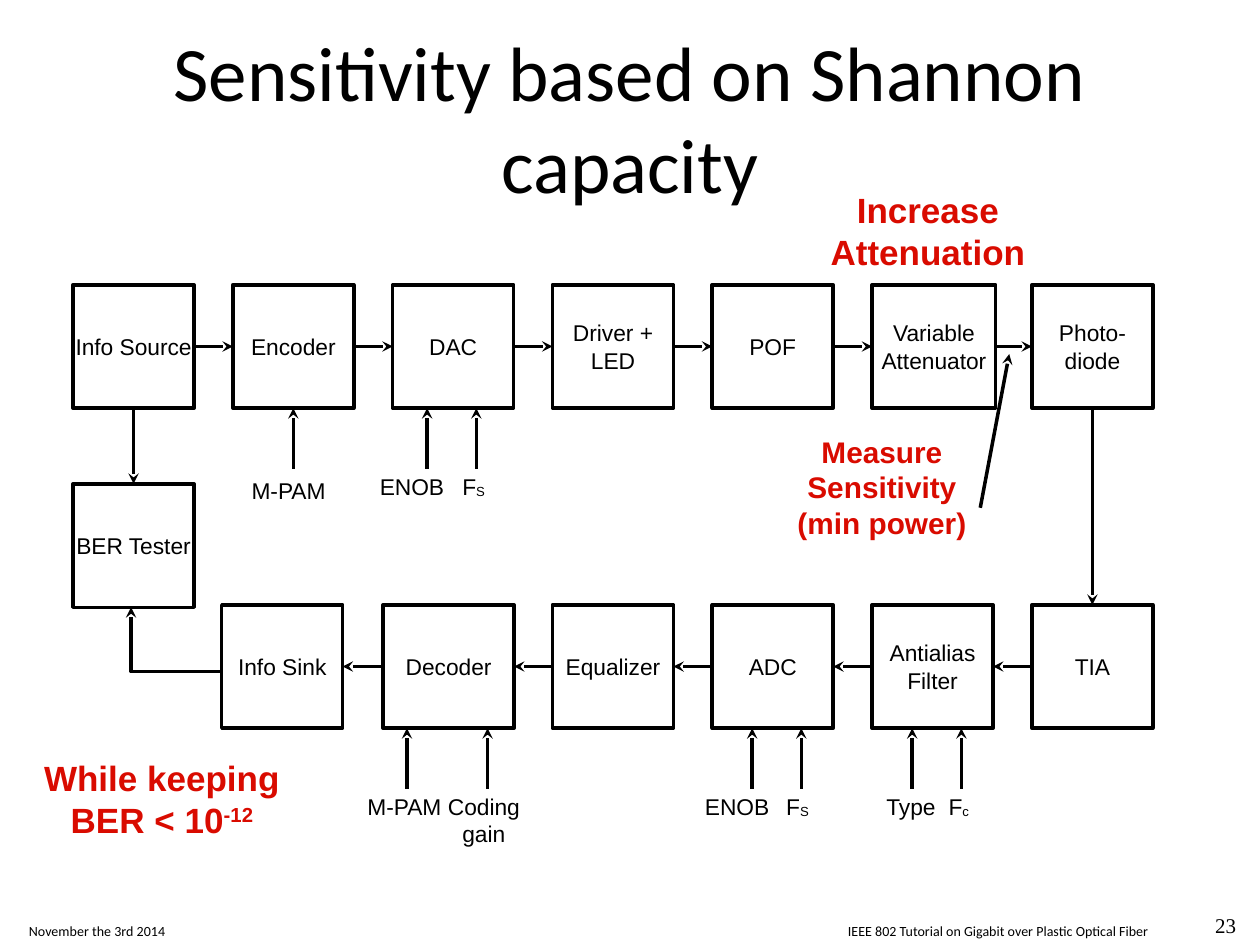
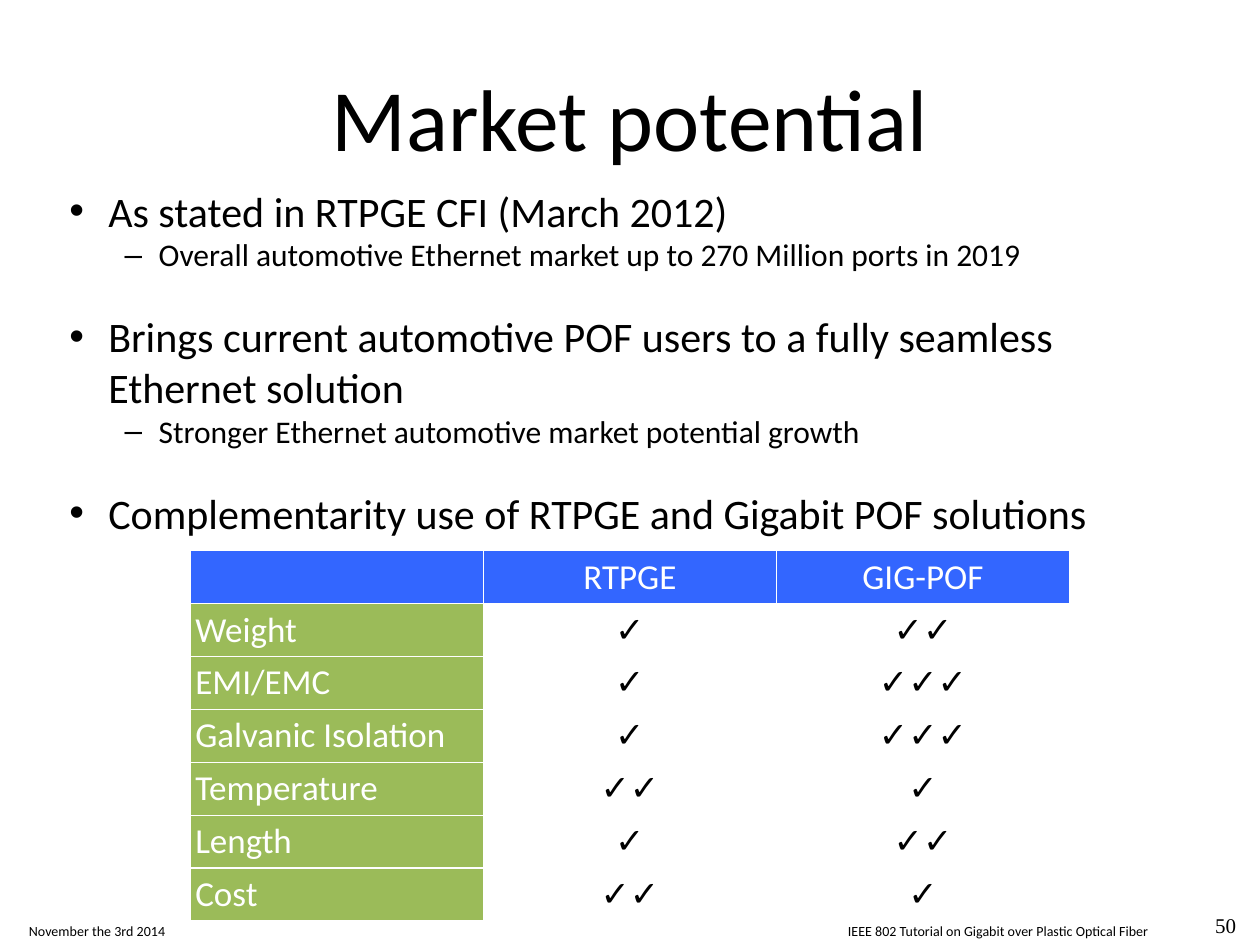
from collections import namedtuple
from dataclasses import dataclass
from itertools import pairwise

from lxml.etree import SubElement
from pptx import Presentation
from pptx.dml.color import RGBColor as RGB
from pptx.enum.shapes import MSO_CONNECTOR as LINK, MSO_SHAPE as SHAPE
from pptx.enum.text import MSO_ANCHOR as ANCHOR, MSO_AUTO_SIZE as FIT, PP_ALIGN as ALIGN
from pptx.oxml.ns import qn
from pptx.util import Inches, Pt

Box = namedtuple("Box", "x y w h")


@dataclass(frozen=True)
class Theme:
    black: RGB = RGB.from_string("000000")
    white: RGB = RGB.from_string("FFFFFF")
    red: RGB = RGB.from_string("D90B00")
    blue: RGB = RGB.from_string("3366FF")
    green: RGB = RGB.from_string("9BBB59")
    sans: str = "Calibri"
    label: str = "Arial"
    serif: str = "Times New Roman"
    line: float = 2
    foot: int = 8
    page: int = 12
    block: int = 13
    cell: int = 20
    points: tuple = (24, 18)


T = Theme()
TITLE = Box(0.5, 0.1, 9, 1.65)
FOOT = Box(0.18, 7.2, 9.69, 0.3)
TOP, LEFT, BOTTOM, RIGHT = range(4)


# Text helpers
def style(font, name, size, color=T.black, bold=False):
    look = {"name": name, "size": Pt(size), "bold": bold}
    for key, value in look.items():
        setattr(font, key, value)
    font.color.rgb = color


def setup(frame, inset=0.0, anchor=ANCHOR.TOP, wrap=True):
    look = {"word_wrap": wrap, "auto_size": FIT.NONE, "vertical_anchor": anchor}
    for side in ("left", "right", "top", "bottom"):
        look[f"margin_{side}"] = Inches(inset)
    for key, value in look.items():
        setattr(frame, key, value)


def write(frame, text, *look, align=ALIGN.CENTER):
    """Write one paragraph per line; _ starts a subscript, ^ a superscript."""
    for i, line in enumerate(text.split("\n")):
        para = frame.add_paragraph() if i else frame.paragraphs[0]
        para.alignment = align
        mark = "^" if "^" in line else "_"
        for j, part in enumerate(line.split(mark)):
            run = para.add_run()
            run.text = part
            style(run.font, *look)
            if j:
                base = "32000" if mark == "^" else "-6000"
                run.font._element.set("baseline", base)


def place(shape, box):
    for key, value in zip(("left", "top", "width", "height"), box):
        setattr(shape, key, Inches(value))


def add_text(slide, box, text, *look, align=ALIGN.CENTER, **frame):
    shape = slide.shapes.add_textbox(*map(Inches, box))
    setup(shape.text_frame, **frame)
    write(shape.text_frame, text, *look, align=align)
    return shape


def inner(box, x, y, w, h):
    return Box(box.x + x, box.y + y, w, h)


# Line helpers
def ink(shape, arrow=True):
    shape.line.color.rgb = T.black
    shape.line.width = Pt(T.line)
    if arrow:
        SubElement(shape.line._get_or_add_ln(), qn("a:tailEnd"), type="stealth")


def arrow(slide, start, end):
    """Draw an arrow; an end is a point or a (block, side) pair to join."""
    ends = [(0, 0) if hasattr(e[0], "text_frame") else e for e in (start, end)]
    link = slide.shapes.add_connector(
        LINK.STRAIGHT, *(Inches(v) for point in ends for v in point))
    for spot, join in ((start, link.begin_connect), (end, link.end_connect)):
        if hasattr(spot[0], "text_frame"):
            join(*spot)
    ink(link)
    SubElement(link._element.spPr, qn("a:effectLst"))


# Shared slide parts
def add_foot(slide, box, page):
    note = add_text(slide, inner(box, 0, 0.07, 9, 0.24),
                    "November the 3rd 2014\tIEEE 802 Tutorial on Gigabit over Plastic Optical Fiber",
                    T.sans, T.foot, align=ALIGN.LEFT, inset=0.05, wrap=False)
    props = note.text_frame.paragraphs[0]._p.get_or_add_pPr()
    tabs = SubElement(props, qn("a:tabLst"))
    SubElement(tabs, qn("a:tab"), pos=str(Inches(6.5)), algn="l")
    add_text(slide, inner(box, box.w - 1.02, 0, 1.02, 0.29), page, T.serif, T.page,
             align=ALIGN.RIGHT, inset=0.06, anchor=ANCHOR.MIDDLE)


def add_slide(deck, title, size, page):
    slide = deck.slides.add_slide(deck.slide_layouts[5])
    place(slide.shapes.title, TITLE)
    frame = slide.shapes.title.text_frame
    setup(frame, 0.05, ANCHOR.MIDDLE)
    write(frame, title, T.sans, size)
    add_foot(slide, FOOT, page)
    return slide


# Signal chain
def add_block(slide, box, text):
    block = slide.shapes.add_shape(SHAPE.RECTANGLE, *map(Inches, box))
    block.shadow.inherit = False
    block.fill.solid()
    block.fill.fore_color.rgb = T.white
    ink(block, arrow=False)
    setup(block.text_frame, anchor=ANCHOR.MIDDLE)
    write(block.text_frame, text, T.label, T.block)
    return block


def add_ports(slide, box, base, ports):
    """Draw inputs below a row: arrow target (x or block), label centre, label."""
    for target, mid, text in ports:
        joined = hasattr(target, "text_frame")
        x = (target.left + target.width / 2) / Inches(1) if joined else box.x + target
        end = (target, BOTTOM) if joined else (x, box.y + base)
        arrow(slide, (x, box.y + base + 0.48), end)
        drop = 0.54 if joined else 0.51
        add_text(slide, inner(box, mid - 0.3, base + drop, 0.6, 0.22), text,
                 T.label, T.block, wrap=False)


def add_chain(slide, box):
    wide, high = 0.96, 0.98
    step = (box.w - wide) / 6
    low = box.h - high

    # Transmit row, left to right
    names = ("Info Source", "Encoder", "DAC", "Driver + LED", "POF",
             "Variable Attenuator", "Photo-diode")
    send = [add_block(slide, inner(box, i * step, 0, 0.98 if i == 5 else wide, high), name)
            for i, name in enumerate(names)]

    # Receive row, right to left
    cells = [("TIA", 6 * step, wide), ("Antialias Filter", 5 * step, wide),
             ("ADC", 4 * step, wide), ("Equalizer", 3 * step, wide),
             ("Decoder", 2.46, 1.04), ("Info Sink", 1.18, wide)]
    take = [add_block(slide, inner(box, x, low, w, high), name) for name, x, w in cells]
    tester = add_block(slide, inner(box, 0, 1.58, wide, high), "BER Tester")

    # Links between blocks
    for row, out, into in ((send, RIGHT, LEFT), (take, LEFT, RIGHT)):
        for one, two in pairwise(row):
            arrow(slide, (one, out), (two, into))
    for one, two in ((send[-1], take[0]), (send[0], tester)):
        arrow(slide, (one, BOTTOM), (two, TOP))

    # Bent link from the sink to the tester
    bend = [(Inches(box.x + x), Inches(box.y + y))
            for x, y in ((1.18, 3.07), (0.46, 3.07), (0.46, 2.56))]
    path = slide.shapes.build_freeform(*bend[0])
    path.add_line_segments(bend[1:], close=False)
    elbow = path.convert_to_shape()
    elbow.shadow.inherit = False
    elbow.fill.background()
    ink(elbow)

    # Parameters fed into the blocks
    add_ports(slide, box, high, [(send[1], 1.71, "M-PAM"), (2.81, 2.69, "ENOB"),
                                 (3.2, 3.18, "F_S")])
    add_ports(slide, box, box.h, [
        (2.65, 2.63, "M-PAM"), (3.29, 3.26, "Coding\ngain"), (5.39, 5.27, "ENOB"),
        (5.78, 5.75, "F_S"), (6.66, 6.65, "Type"), (7.05, 7.03, "F_c")])


def add_notes(slide, box):
    notes = [("Increase\nAttenuation", 20, (6, -0.77, 1.57, 0.67)),
             ("While keeping\nBER < 10^-12", 20, (-0.37, 3.68, 2.15, 0.73)),
             ("Measure\nSensitivity\n(min power)", 17, (5.75, 1.17, 1.34, 0.86))]
    for text, size, spot in notes:
        add_text(slide, inner(box, *spot), text, T.label, size, T.red, True,
                 anchor=ANCHOR.BOTTOM, wrap=False)
    arrow(slide, (box.x + 7.2, box.y + 1.77), (box.x + 7.43, box.y + 0.55))


# Market slide regions
def add_points(slide, box, points):
    frame = slide.shapes.add_textbox(*map(Inches, box)).text_frame
    setup(frame, 0.05)
    for i, (level, text) in enumerate(points):
        para = frame.add_paragraph() if i else frame.paragraphs[0]
        left, hang, sign = ((0.31, 0.31, "•"), (0.71, 0.27, "–"))[level]
        para.level = level
        para.space_before = Pt(21.5 if i and not level else 0)
        props = para._p.get_or_add_pPr()
        props.set("marL", str(Inches(left)))
        props.set("indent", str(-Inches(hang)))
        SubElement(props, qn("a:buFont"), typeface=T.label)
        SubElement(props, qn("a:buChar"), char=sign)
        run = para.add_run()
        run.text = text
        style(run.font, T.sans, T.points[level])


def edge(cell):
    props = cell._tc.get_or_add_tcPr()
    for side in "LRTB":
        line = SubElement(props, qn(f"a:ln{side}"), w=str(Pt(1)))
        fill = SubElement(line, qn("a:solidFill"))
        SubElement(fill, qn("a:srgbClr"), val=str(T.white))


def add_grid(slide, box, rows):
    grid = slide.shapes.add_table(len(rows), len(rows[0]), *map(Inches, box)).table
    grid.first_row = grid.horz_banding = False
    for r, row in enumerate(rows):
        for c, text in enumerate(row):
            cell = grid.cell(r, c)
            edge(cell)
            for side in ("left", "right", "top", "bottom"):
                setattr(cell, f"margin_{side}", Inches(0.04))
            cell.vertical_anchor = ANCHOR.MIDDLE
            body = r and c
            if body:
                cell.fill.background()
            else:
                cell.fill.solid()
                cell.fill.fore_color.rgb = T.green if r else T.blue
            if text:
                write(cell.text_frame, text, T.sans, T.cell, T.black if body else T.white,
                      align=ALIGN.CENTER if c else ALIGN.LEFT)


def main():
    deck = Presentation()
    deck.slide_width, deck.slide_height = Inches(10), Inches(7.5)

    slide = add_slide(deck, "Sensitivity based on Shannon capacity", 44, "23")
    chain = Box(0.58, 2.26, 8.57, 3.52)
    add_chain(slide, chain)
    add_notes(slide, chain)

    slide = add_slide(deck, "Market potential", 50, "50")
    add_points(slide, Box(0.5, 1.42, 9, 2.7), [
        (0, "As stated in RTPGE CFI (March 2012)"),
        (1, "Overall automotive Ethernet market up to 270 Million ports in 2019"),
        (0, "Brings current automotive POF users to a fully seamless Ethernet solution"),
        (1, "Stronger Ethernet automotive market potential growth"),
        (0, "Complementarity use of RTPGE and Gigabit POF solutions")])
    marks = [("Weight", 1, 2), ("EMI/EMC", 1, 3), ("Galvanic Isolation", 1, 3),
             ("Temperature", 2, 1), ("Length", 1, 2), ("Cost", 2, 1)]
    rows = [(name, "✓" * one, "✓" * two) for name, one, two in marks]
    add_grid(slide, Box(1.51, 4.37, 6.98, 2.9), [("", "RTPGE", "GIG-POF"), *rows])

    deck.save("out.pptx")


if __name__ == "__main__":
    main()
